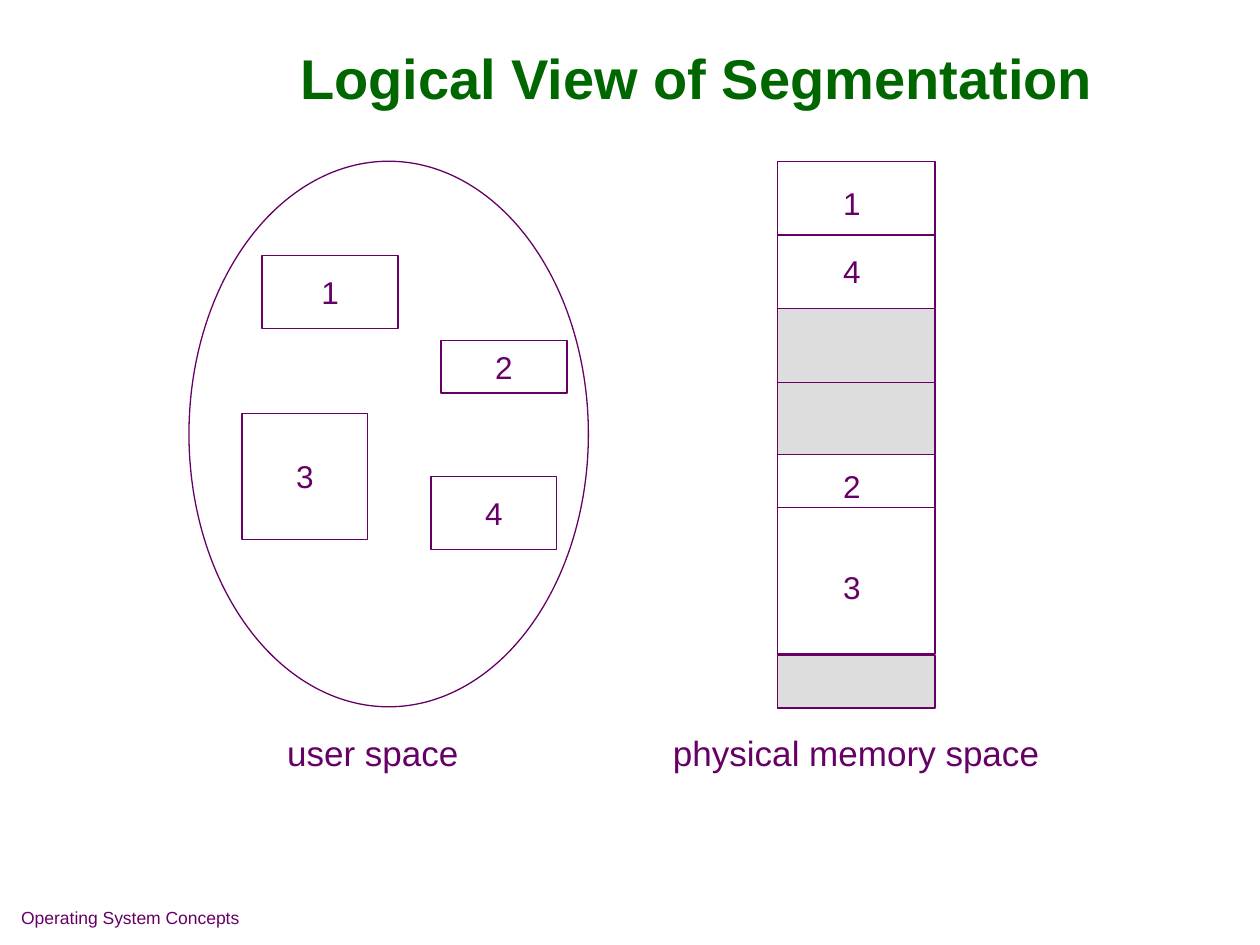
from lxml import etree
from pptx import Presentation
from pptx.dml.color import RGBColor
from pptx.enum.shapes import MSO_CONNECTOR, MSO_SHAPE
from pptx.enum.text import MSO_ANCHOR, PP_ALIGN
from pptx.oxml.ns import qn
from pptx.util import Inches, Pt

PURPLE = RGBColor(0x66, 0x00, 0x66)
GREEN = RGBColor(0x00, 0x66, 0x00)
WHITE = RGBColor(0xFF, 0xFF, 0xFF)
GRAY = RGBColor(0xDD, 0xDD, 0xDD)
RECT, OVAL = MSO_SHAPE.RECTANGLE, MSO_SHAPE.OVAL
STRAIGHT = MSO_CONNECTOR.STRAIGHT
TOP, MIDDLE = MSO_ANCHOR.TOP, MSO_ANCHOR.MIDDLE
LEFT, CENTER = PP_ALIGN.LEFT, PP_ALIGN.CENTER

FONT = "Arial"
LINE_WIDTH = Pt(0.75)
MEMORY_LEFT, MEMORY_WIDTH = 6.17, 1.25

SEGMENTS = [
    ("1", 2.08, 2.03, 1.08, 0.58),
    ("3", 1.92, 3.28, 1, 1),
    ("2", 3.5, 2.7, 1, 0.42),
    ("4", 3.42, 3.78, 1, 0.58),
]
MEMORY_BLOCKS = [
    (1.28, 1.17, WHITE, 1.86),
    (2.45, 1.17, GRAY, 3.03),
    (3.61, 1.58, WHITE, 4.03),
    (5.2, 0.42, GRAY, None),
]
MEMORY_LABELS = [("1", 1.41), ("4", 1.95), ("2", 3.66), ("3", 4.46)]
CAPTIONS = [("user space", 2.18, 1.56), ("physical memory space", 5.24, 3.11)]


def write(tf, text, size, color=PURPLE, align=CENTER, anchor=MIDDLE, bold=False):
    tf.vertical_anchor = anchor
    p = tf.paragraphs[0]
    p.alignment = align
    r = p.add_run()
    r.text = text
    r.font.name = FONT
    r.font.size = Pt(size)
    r.font.bold = bold
    r.font.color.rgb = color


def add_title(s, text):
    title = s.shapes.title
    title.left, title.top = Inches(1.28), Inches(0.15)
    title.width, title.height = Inches(8.5), Inches(0.92)
    write(title.text_frame, text, 32, GREEN, bold=True)


def add_outlined(s, kind, x, y, w, h, fill=WHITE):
    sp = s.shapes.add_shape(kind, Inches(x), Inches(y), Inches(w), Inches(h))
    sp.shadow.inherit = False
    sp.fill.solid()
    sp.fill.fore_color.rgb = fill
    sp.line.color.rgb = PURPLE
    sp.line.width = LINE_WIDTH
    return sp


def add_segment(s, text, x, y, w, h):
    tf = add_outlined(s, RECT, x, y, w, h).text_frame
    tf.word_wrap = False
    write(tf, text, 18)


def add_label(s, text, x, y, w, h, size, align=CENTER, anchor=MIDDLE):
    tf = s.shapes.add_textbox(Inches(x), Inches(y), Inches(w), Inches(h)).text_frame
    tf.word_wrap = False
    write(tf, text, size, align=align, anchor=anchor)


def add_divider(s, block, y):
    y = Inches(y)
    line = s.shapes.add_connector(STRAIGHT, block.left, y, block.left + block.width, y)
    if abs(block.top + block.height / 2 - y) < Inches(0.01):
        line.begin_connect(block, 1)
        line.end_connect(block, 3)
    line.line.color.rgb = PURPLE
    line.line.width = LINE_WIDTH
    etree.SubElement(line._element.spPr, qn("a:effectLst"))


def add_memory(s):
    for y, h, fill, divider in MEMORY_BLOCKS:
        block = add_outlined(s, RECT, MEMORY_LEFT, y, MEMORY_WIDTH, h, fill)
        if divider:
            add_divider(s, block, divider)
    for text, y in MEMORY_LABELS:
        add_label(s, text, 6.59, y, 0.34, 0.4, 18)


def main():
    prs = Presentation()
    prs.slide_width, prs.slide_height = Inches(10), Inches(7.5)
    s = prs.slides.add_slide(prs.slide_layouts[5])
    add_label(s, "Operating System Concepts", 0.07, 7.15, 3.17, 0.35, 10, LEFT, TOP)
    add_title(s, "Logical View of Segmentation")
    add_outlined(s, OVAL, 1.5, 1.28, 3.17, 4.33)
    for segment in SEGMENTS:
        add_segment(s, *segment)
    add_memory(s)
    for text, x, w in CAPTIONS:
        add_label(s, text, x, 5.75, w, 0.44, 20)
    prs.save("out.pptx")


if __name__ == "__main__":
    main()
